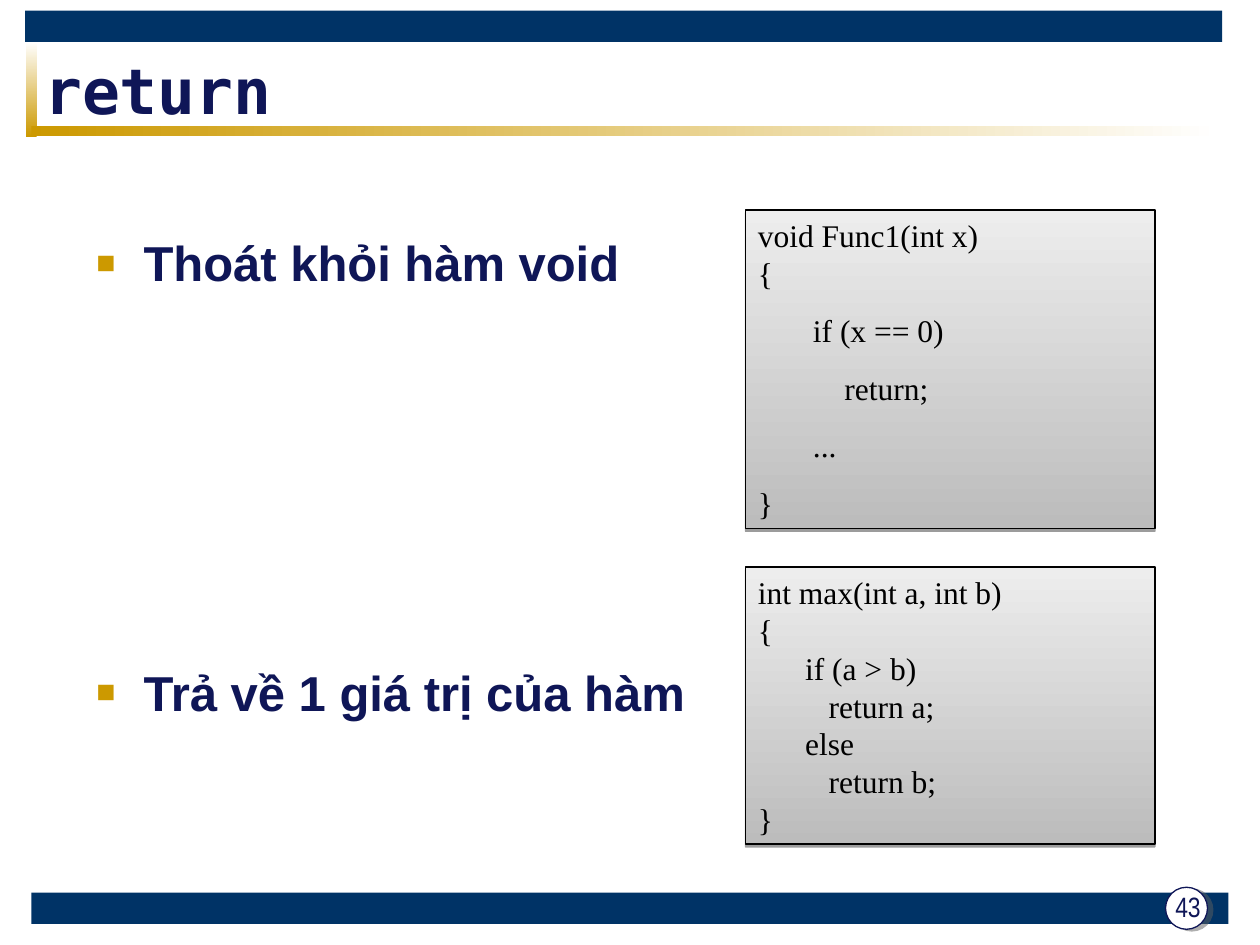
import pptx
import pptx.dml.color
import pptx.enum.shapes
import pptx.enum.text
import pptx.oxml
import pptx.oxml.ns
import pptx.util
from lxml import etree

Pt = pptx.util.Pt
RGBColor = pptx.dml.color.RGBColor
SHAPE = pptx.enum.shapes.MSO_SHAPE
ANCHOR = pptx.enum.text.MSO_ANCHOR
ALIGN = pptx.enum.text.PP_ALIGN
qn = pptx.oxml.ns.qn

NAVY = RGBColor(0x00, 0x33, 0x66)
INK = RGBColor(0x0F, 0x16, 0x57)
GOLD = RGBColor(0xCC, 0x99, 0x00)
WHITE = RGBColor(0xFF, 0xFF, 0xFF)
BLACK = RGBColor(0x00, 0x00, 0x00)
LIGHT_GREY = RGBColor(0xED, 0xED, 0xED)
MID_GREY = RGBColor(0xBC, 0xBC, 0xBC)
SHADOW_GREY = RGBColor(0x5F, 0x5F, 0x5F)

RIGHTWARD, DOWNWARD = 0, 270

BULLETS = ["Thoát khỏi hàm void", "Trả về 1 giá trị của hàm"]

# Each paragraph is a list of lines.
VOID_CODE = [
    ["void Func1(int x)", "{"],
    ["       if (x == 0)"],
    ["           return;"],
    ["       ..."],
    ["}"],
]
MAX_CODE = [[
    "int max(int a, int b)",
    "{",
    "      if (a > b)",
    "         return a;",
    "      else",
    "         return b;",
    "}",
]]


def set_font(para, name, size, color, bold=False):
    font = para.font
    font.name, font.size, font.bold = name, Pt(size), bold
    font.color.rgb = color


def add_shape(page, kind, box, fill, line=None):
    shape = page.shapes.add_shape(kind, *map(Pt, box))
    shape.shadow.inherit = False
    if isinstance(fill, RGBColor):
        shape.fill.solid()
        shape.fill.fore_color.rgb = fill
    else:
        *colors, angle = fill
        shape.fill.gradient()
        shape.fill.gradient_angle = angle
        for stop, color in zip(shape.fill.gradient_stops, colors):
            stop.color.rgb = color
    if line is None:
        shape.line.fill.background()
    else:
        shape.line.color.rgb = line
        shape.line.width = Pt(0.75)
    return shape


def add_shadow(shape, color, opacity, distance, angle):
    effects = shape._element.spPr.find(qn("a:effectLst"))
    shadow = etree.SubElement(
        effects, qn("a:outerShdw"), blurRad="0", dist=str(Pt(distance)),
        dir=str(angle * 60000), algn="ctr", rotWithShape="0")
    tint = etree.SubElement(shadow, qn("a:srgbClr"), val=str(color))
    etree.SubElement(tint, qn("a:alpha"), val=str(opacity * 1000))


def add_bullet(para):
    props = para._p.get_or_add_pPr()
    props.set("marL", str(Pt(27)))
    props.set("indent", str(Pt(-27)))
    color = etree.SubElement(props, qn("a:buClr"))
    etree.SubElement(color, qn("a:srgbClr"), val=str(GOLD))
    etree.SubElement(props, qn("a:buSzPct"), val="65000")
    etree.SubElement(props, qn("a:buFont"), typeface="Arial")
    etree.SubElement(props, qn("a:buChar"), char="■")


def add_frame(page):
    """Bars at top and bottom, and the fading rules beside the title."""
    add_shape(page, SHAPE.RECTANGLE, (18, 510, 684, 18), NAVY)
    add_shape(page, SHAPE.RECTANGLE, (14.4, 6, 684, 18), NAVY)
    add_shape(page, SHAPE.RECTANGLE, (15, 24, 6, 54), (WHITE, GOLD, DOWNWARD))
    add_shape(page, SHAPE.RECTANGLE, (18, 72, 678, 6), (GOLD, WHITE, RIGHTWARD))


def place_title(page, box, text):
    title = page.shapes.title
    title.left, title.top, title.width, title.height = map(Pt, box)
    frame = title.text_frame
    frame.text = text
    frame.auto_size = pptx.enum.text.MSO_AUTO_SIZE.NONE
    frame.vertical_anchor = ANCHOR.MIDDLE
    para = frame.paragraphs[0]
    para.alignment = ALIGN.LEFT
    set_font(para, "DejaVu Sans Mono", 36, INK, bold=True)


def add_bullets(page, box, texts, gap):
    frame = page.shapes.add_textbox(*map(Pt, box)).text_frame
    frame.word_wrap = True
    frame.margin_top = Pt(7)
    frame.text = "\n".join(texts)
    for index, para in enumerate(frame.paragraphs):
        add_bullet(para)
        if index:
            para.space_before = Pt(gap)
        set_font(para, "Arial", 28, INK, bold=True)


def add_code(page, box, paragraphs):
    panel = add_shape(page, SHAPE.RECTANGLE, box,
                      (LIGHT_GREY, MID_GREY, DOWNWARD), BLACK)
    add_shadow(panel, BLACK, 38, 1.6, 90)
    frame = panel.text_frame
    frame.word_wrap = True
    frame.vertical_anchor = ANCHOR.TOP
    frame.text = "\n".join("\v".join(lines) for lines in paragraphs)
    for index, para in enumerate(frame.paragraphs):
        para.alignment = ALIGN.LEFT
        para.line_spacing = Pt(21.6)
        if index:
            para.space_before = Pt(11.2)
        set_font(para, "Times New Roman", 18, BLACK)


def add_page_number(page, box, number):
    left, top, width, height = box
    disc = add_shape(page, SHAPE.OVAL, (left + 3, top + 1, 24, 24), WHITE, INK)
    add_shadow(disc, SHADOW_GREY, 50, 3.2, 18)
    frame = page.shapes.add_textbox(*map(Pt, box)).text_frame
    frame.word_wrap = True
    frame.vertical_anchor = ANCHOR.MIDDLE
    frame.text = number
    para = frame.paragraphs[0]
    para.alignment = ALIGN.CENTER
    para.line_spacing = 0.9
    set_font(para, "Arial Narrow", 16, INK)


def main():
    deck = pptx.Presentation()
    deck.slide_width, deck.slide_height = Pt(720), Pt(540)
    page = deck.slides.add_slide(deck.slide_layouts.get_by_name("Title Only"))
    add_frame(page)
    place_title(page, (18, 30, 648, 42), "return")
    add_bullets(page, (48, 126, 642, 354), BULLETS, gap=211.7)
    add_page_number(page, (663, 506, 31.8, 26), "43")
    add_code(page, (426, 120, 234, 182), VOID_CODE)
    add_code(page, (426, 324, 234, 158.4), MAX_CODE)
    deck.save("out.pptx")


if __name__ == "__main__":
    main()
